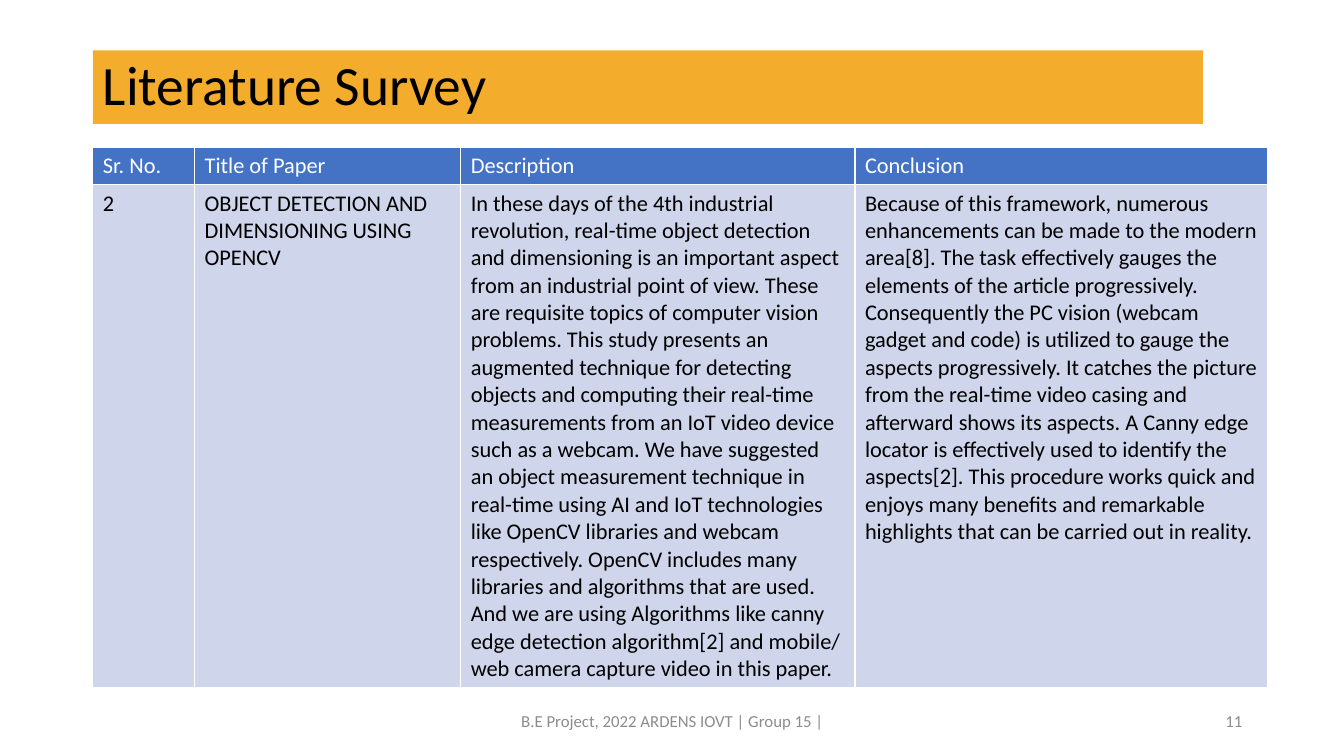
from lxml.etree import SubElement
from pptx import Presentation
from pptx.dml.color import RGBColor
from pptx.enum.text import MSO_ANCHOR as Anchor, MSO_AUTO_SIZE as AutoSize, PP_ALIGN as Align
from pptx.oxml.ns import qn
from pptx.util import Inches, Pt

HEADERS = ["Sr. No.", "Title of Paper", "Description", "Conclusion"]
PAPER = [
    "2",
    "OBJECT DETECTION AND DIMENSIONING USING OPENCV",
    "In these days of the 4th industrial revolution, real-time object detection and "
    "dimensioning is an important aspect from an industrial point of view. These are "
    "requisite topics of computer vision problems. This study presents an augmented "
    "technique for detecting objects and computing their real-time measurements from an "
    "IoT video device such as a webcam. We have suggested an object measurement technique "
    "in real-time using AI and IoT technologies like OpenCV libraries and webcam "
    "respectively. OpenCV includes many libraries and algorithms that are used. And we are "
    "using Algorithms like canny edge detection algorithm[2] and mobile/ web camera capture "
    "video in this paper.",
    "Because of this framework, numerous enhancements can be made to the modern area[8]. "
    "The task effectively gauges the elements of the article progressively. Consequently "
    "the PC vision (webcam gadget and code) is utilized to gauge the aspects progressively. "
    "It catches the picture from the real-time video casing and afterward shows its aspects. "
    "A Canny edge locator is effectively used to identify the aspects[2]. This procedure "
    "works quick and enjoys many benefits and remarkable highlights that can be carried out "
    "in reality.",
]


def color(value):
    return RGBColor.from_string(value)


class SlideBuilder:
    font = "Calibri"
    white, black, gray = "FFFFFF", "000000", "8C8C8C"
    banner, header, body = "F3AC2B", "4472C4", "CFD5EA"

    def __init__(self, prs):
        self.s = prs.slides.add_slide(prs.slide_layouts[5])

    def add_text(self, tf, text, size, ink, **formats):
        p = tf.paragraphs[0]
        for name, value in formats.items():
            setattr(p, name, value)
        r = p.add_run()
        r.text = text
        for name, value in {"name": self.font, "size": Pt(size)}.items():
            setattr(r.font, name, value)
        r.font.color.rgb = color(ink)

    def frame(self, sp):
        tf = sp.text_frame
        settings = {"word_wrap": True, "auto_size": AutoSize.NONE,
                    "vertical_anchor": Anchor.MIDDLE}
        for name, value in settings.items():
            setattr(tf, name, value)
        return tf

    def title(self, text, left, top, width, height):
        sp = self.s.shapes.title
        box = {"left": left, "top": top, "width": width, "height": height}
        for name, value in box.items():
            setattr(sp, name, Inches(value))
        sp.fill.solid()
        sp.fill.fore_color.rgb = color(self.banner)
        self.add_text(self.frame(sp), text, 39.6, self.black,
                      alignment=Align.LEFT, line_spacing=0.9)

    def footer(self, text, left, width, alignment):
        sp = self.s.shapes.add_textbox(Inches(left), Inches(6.95), Inches(width), Inches(0.4))
        self.add_text(self.frame(sp), text, 12, self.gray, alignment=alignment)

    def cell(self, cell, text, fill, ink):
        tc_pr = cell._tc.get_or_add_tcPr()
        for side in "LRTB":
            ln = SubElement(tc_pr, qn(f"a:ln{side}"), w=str(Pt(1)))
            SubElement(SubElement(ln, qn("a:solidFill")), qn("a:srgbClr"), val=self.white)
        cell.fill.solid()
        cell.fill.fore_color.rgb = color(fill)
        self.add_text(cell.text_frame, text, 16, ink)

    def table(self, rows, left, top, widths, heights):
        table = self.s.shapes.add_table(
            len(rows), len(widths), Inches(left), Inches(top),
            Inches(sum(widths)), Inches(sum(heights))).table
        for col, width in zip(table.columns, widths):
            col.width = Inches(width)
        for row, height in zip(table.rows, heights):
            row.height = Inches(height)
        for i, texts in enumerate(rows):
            fill, ink = (self.body, self.black) if i else (self.header, self.white)
            for j, text in enumerate(texts):
                self.cell(table.cell(i, j), text, fill, ink)


def main():
    prs = Presentation()
    prs.slide_width, prs.slide_height = Inches(13.33), Inches(7.5)
    slide = SlideBuilder(prs)
    slide.title("Literature Survey", 0.92, 0.5, 11.01, 0.73)
    slide.table([HEADERS, PAPER], 0.92, 1.46, [1.01, 2.64, 3.91, 4.09], [0.37, 4.98])
    slide.footer("B.E Project, 2022 ARDENS IOVT | Group 15 |", 4.42, 4.5, Align.CENTER)
    slide.footer("11", 9.42, 3, Align.RIGHT)
    prs.save("out.pptx")


if __name__ == "__main__":
    main()
